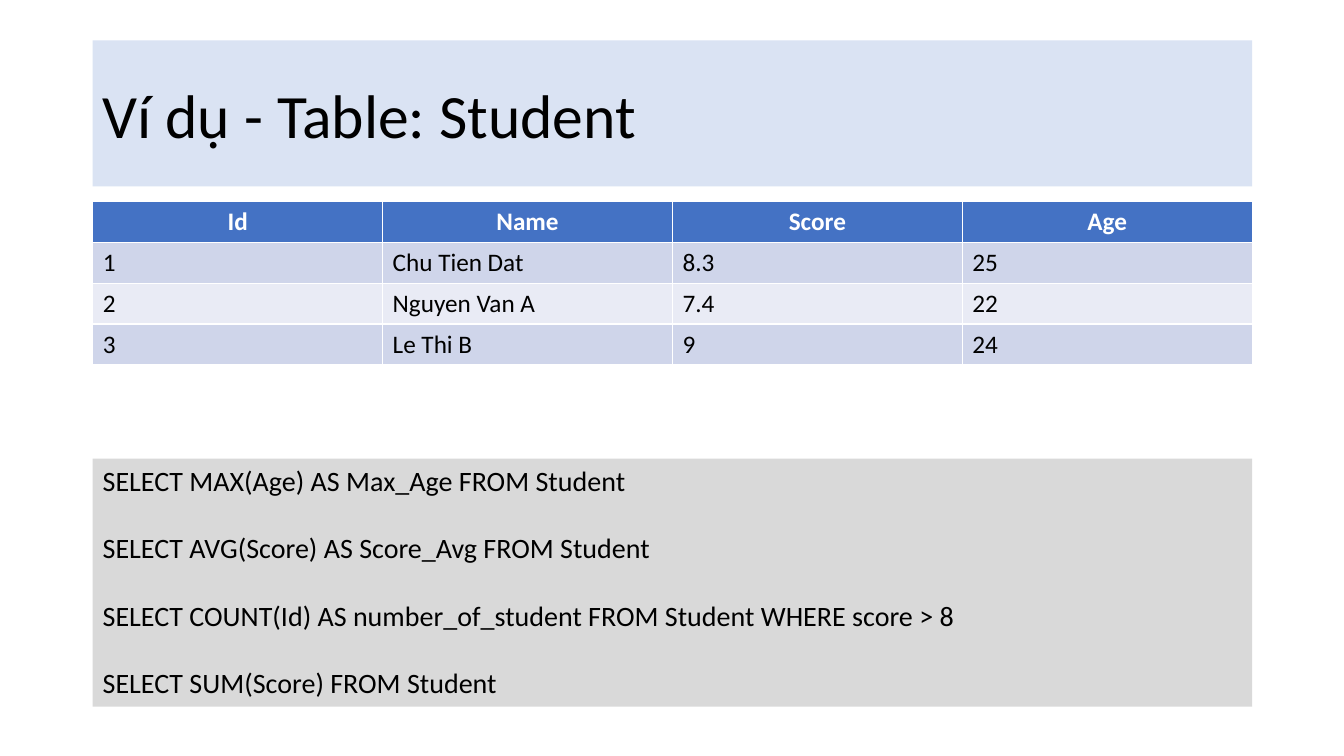
from pptx import Presentation
from pptx.dml.color import RGBColor
from pptx.enum.text import MSO_ANCHOR, PP_ALIGN
from pptx.util import Inches, Pt

MIDDLE, TOP = MSO_ANCHOR.MIDDLE, MSO_ANCHOR.TOP
LEFT, CENTER = PP_ALIGN.LEFT, PP_ALIGN.CENTER

BLACK = RGBColor(0x00, 0x00, 0x00)
WHITE = RGBColor(0xFF, 0xFF, 0xFF)
TITLE_FILL = RGBColor(0xDA, 0xE3, 0xF3)
QUERY_FILL = RGBColor(0xD9, 0xD9, 0xD9)
HEADER_FILL = RGBColor(0x44, 0x72, 0xC4)
BAND_FILLS = [RGBColor(0xE9, 0xEB, 0xF5), RGBColor(0xCF, 0xD5, 0xEA)]

MARGIN, CONTENT_WIDTH = 0.92, 11.5
ROW_HEIGHT = 0.405

STUDENTS = [
    ["Id", "Name", "Score", "Age"],
    ["1", "Chu Tien Dat", "8.3", "25"],
    ["2", "Nguyen Van A", "7.4", "22"],
    ["3", "Le Thi B", "9", "24"],
]
QUERIES = [
    "SELECT MAX(Age) AS Max_Age FROM Student",
    "SELECT AVG(Score) AS Score_Avg FROM Student",
    "SELECT COUNT(Id) AS number_of_student FROM Student WHERE score > 8",
    "SELECT SUM(Score) FROM Student",
]


def style(paragraph, size, color=BLACK, bold=False, align=LEFT):
    """Set the font and alignment of a paragraph."""
    paragraph.alignment = align
    font = paragraph.font
    font.name, font.size, font.bold = "Calibri", Pt(size), bold
    font.color.rgb = color


def add_panel(page, top, height, fill, lines, size, anchor, gap=0):
    """Add a filled full-width text box with one paragraph per line."""
    box = page.shapes.add_textbox(
        Inches(MARGIN), Inches(top), Inches(CONTENT_WIDTH), Inches(height))
    box.fill.solid()
    box.fill.fore_color.rgb = fill
    frame = box.text_frame
    frame.word_wrap = True
    frame.vertical_anchor = anchor
    frame.text = "\n".join(lines)
    for index, paragraph in enumerate(frame.paragraphs):
        style(paragraph, size)
        if index:
            paragraph.space_before = Pt(gap)


deck = Presentation()
deck.slide_width, deck.slide_height = Inches(13.33), Inches(7.5)
page = deck.slides.add_slide(deck.slide_layouts[6])

add_panel(page, 0.4, 1.45, TITLE_FILL, ["Ví dụ - Table: Student"], 44, MIDDLE)

table = page.shapes.add_table(
    len(STUDENTS), len(STUDENTS[0]), Inches(MARGIN), Inches(2),
    Inches(CONTENT_WIDTH), Inches(ROW_HEIGHT * len(STUDENTS))).table
for row, values in enumerate(STUDENTS):
    header = row == 0
    for column, value in enumerate(values):
        cell = table.cell(row, column)
        cell.text = value
        cell.fill.solid()
        cell.fill.fore_color.rgb = HEADER_FILL if header else BAND_FILLS[row % 2]
        style(cell.text_frame.paragraphs[0], 18, WHITE if header else BLACK,
              header, CENTER if header else LEFT)

add_panel(page, 4.55, 2.46, QUERY_FILL, QUERIES, 20, TOP, gap=24)

deck.save("out.pptx")
